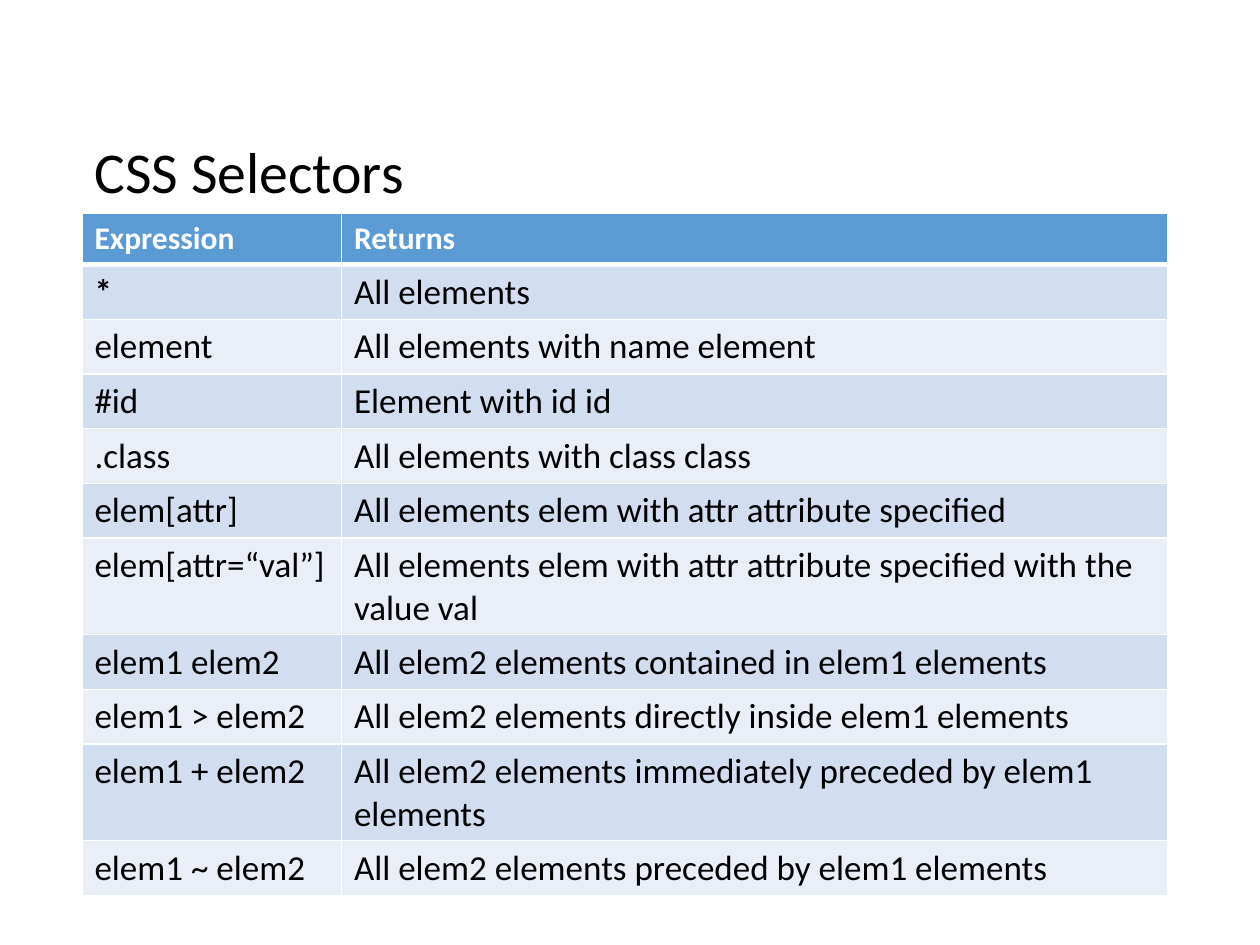
from lxml.etree import SubElement
from pptx import Presentation
from pptx.dml.color import RGBColor
from pptx.enum.text import MSO_ANCHOR
from pptx.oxml.ns import qn
from pptx.util import Inches, Pt

FONT = "Calibri"
COLORS = {
    "text": "000000",
    "white": "FFFFFF",
    "header": "5B9BD5",
    "odd_row": "D2DEEF",
    "even_row": "EAEFF7",
}
SELECTORS = [
    ("Expression", "Returns"),
    ("*", "All elements"),
    ("element", "All elements with name element"),
    ("#id", "Element with id id"),
    (".class", "All elements with class class"),
    ("elem[attr]", "All elements elem with attr attribute specified"),
    ("elem[attr=“val”]", "All elements elem with attr attribute specified with the value val"),
    ("elem1 elem2", "All elem2 elements contained in elem1 elements"),
    ("elem1 > elem2", "All elem2 elements directly inside elem1 elements"),
    ("elem1 + elem2", "All elem2 elements immediately preceded by elem1 elements"),
    ("elem1 ~ elem2", "All elem2 elements preceded by elem1 elements"),
]


def format_text(text_frame, size, color, bold=False):
    """Apply one font style to every run of a text frame."""
    for paragraph in text_frame.paragraphs:
        for run in paragraph.runs:
            run.font.name = FONT
            run.font.size = Pt(size)
            run.font.bold = bold
            run.font.color.rgb = RGBColor.from_string(COLORS[color])


def add_borders(cell, top, bottom):
    """Draw white borders around a cell, with widths in points."""
    properties = cell._tc.get_or_add_tcPr()
    for side, width in (("L", 1), ("R", 1), ("T", top), ("B", bottom)):
        line = SubElement(properties, qn(f"a:ln{side}"), w=str(Pt(width)))
        fill = SubElement(line, qn("a:solidFill"))
        SubElement(fill, qn("a:srgbClr"), val=COLORS["white"])


def add_title(slide, text, left, top, width, height):
    """Place the slide title, vertically centred in its box."""
    title = slide.shapes.add_textbox(Inches(left), Inches(top), Inches(width), Inches(height))
    text_frame = title.text_frame
    text_frame.word_wrap = True
    text_frame.vertical_anchor = MSO_ANCHOR.MIDDLE
    text_frame.text = text
    text_frame.paragraphs[0].line_spacing = 0.9
    format_text(text_frame, 33, "text")


def add_selector_table(slide, rows, left, top, width, first_width, row_height):
    """Place a two-column table with a header and banded rows."""
    table = slide.shapes.add_table(
        len(rows), 2, Inches(left), Inches(top), Inches(width), Inches(row_height * len(rows))
    ).table
    table.columns[0].width = Inches(first_width)
    table.columns[1].width = Inches(width - first_width)
    for row_index, texts in enumerate(rows):
        is_header = row_index == 0
        band = "header" if is_header else "odd_row" if row_index % 2 else "even_row"
        table.rows[row_index].height = Inches(row_height)
        for column_index, text in enumerate(texts):
            cell = table.cell(row_index, column_index)
            add_borders(cell, 3 if row_index == 1 else 1, 3 if is_header else 1)
            cell.fill.solid()
            cell.fill.fore_color.rgb = RGBColor.from_string(COLORS[band])
            cell.text_frame.text = text
            format_text(
                cell.text_frame,
                18 if is_header else 20,
                "white" if is_header else "text",
                is_header or text == "*",
            )


def build():
    """Build and save the presentation."""
    presentation = Presentation()
    presentation.slide_width = Inches(10)
    presentation.slide_height = Inches(7.5)
    slide = presentation.slides.add_slide(presentation.slide_layouts[6])
    add_title(slide, "CSS Selectors", 0.65, 0.91, 8.62, 0.96)
    add_selector_table(slide, SELECTORS, 0.65, 1.69, 8.62, 2.06, 0.41)
    presentation.save("out.pptx")


build()
